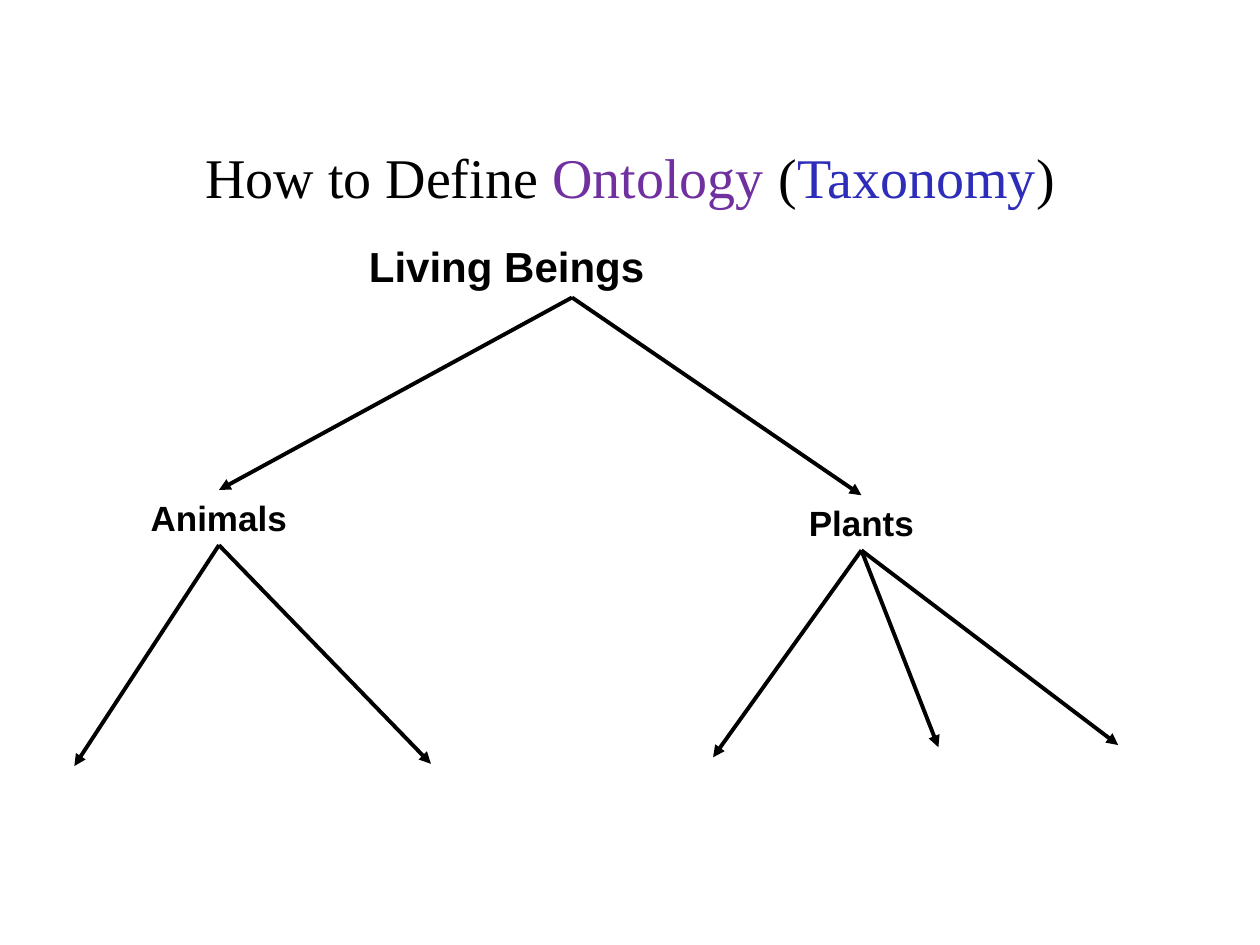
from lxml import etree
from pptx import Presentation
from pptx.dml.color import RGBColor
from pptx.enum.shapes import MSO_CONNECTOR
from pptx.enum.text import MSO_ANCHOR, MSO_AUTO_SIZE, PP_ALIGN
from pptx.oxml.ns import qn
from pptx.util import Pt

STRAIGHT = MSO_CONNECTOR.STRAIGHT
MIDDLE = MSO_ANCHOR.MIDDLE
GROW = MSO_AUTO_SIZE.SHAPE_TO_FIT_TEXT
LEFT, CENTER = PP_ALIGN.LEFT, PP_ALIGN.CENTER
TOP_SITE, BOTTOM_SITE = 0, 2

THEME = {
    "title_font": "Times New Roman", "node_font": "Arial",
    "title_size": 32, "root_size": 24, "branch_size": 20, "line_width": 2.25,
    "text": RGBColor(0, 0, 0), "line": RGBColor(0, 0, 0),
    "ontology": RGBColor(0x70, 0x30, 0xA0), "taxonomy": RGBColor(0x2D, 0x2D, 0xB9),
}

TITLE_BOX = (54, 55.5, 612, 90)
TITLE_RUNS = [("How to Define ", "text"), ("Ontology", "ontology"), (" (", "text"),
              ("Taxonomy", "taxonomy"), (")", "text")]

# Name: box (left, top, width, height), size, alignment, wrap
NODES = {
    "Living Beings": ((203.75, 134, 246.25, 36), "root_size", LEFT, True),
    "Animals": ((79, 280, 92.25, 31.5), "branch_size", LEFT, False),
    "Plants": ((381.25, 283, 222, 31.5), "branch_size", CENTER, True),
}
BRANCHES = [("Living Beings", "Animals"), ("Living Beings", "Plants")]
# Arrow tips of the levels that are not named yet
OPEN_TIPS = {
    "Animals": [(42.5, 437.75), (246.25, 436.5)],
    "Plants": [(407.5, 432.75), (536.25, 427), (639, 425.75)],
}


def format_run(run, font_name, size, colour, bold=False):
    run.font.name = THEME[font_name]
    run.font.size = Pt(THEME[size])
    run.font.color.rgb = THEME[colour]
    run.font.bold = bold


def add_title(slide):
    frame = slide.shapes.add_textbox(*map(Pt, TITLE_BOX)).text_frame
    frame.word_wrap = True
    frame.vertical_anchor = MIDDLE
    paragraph = frame.paragraphs[0]
    paragraph.alignment = CENTER
    for text, colour in TITLE_RUNS:
        run = paragraph.add_run()
        run.text = text
        format_run(run, "title_font", "title_size", colour)


def add_node(slide, name, box, size, alignment, wrap):
    shape = slide.shapes.add_textbox(*map(Pt, box))
    frame = shape.text_frame
    frame.text = name
    frame.word_wrap = wrap
    frame.auto_size = GROW
    paragraph = frame.paragraphs[0]
    paragraph.alignment = alignment
    format_run(paragraph.runs[0], "node_font", size, "text", bold=True)
    return shape


def add_arrow(slide, parent, tip=(0, 0), child=None):
    """Draw an arrow from below parent to the top of child, or to a free tip."""
    arrow = slide.shapes.add_connector(STRAIGHT, 0, 0, *map(Pt, tip))
    arrow.begin_connect(parent, BOTTOM_SITE)
    if child is not None:
        arrow.end_connect(child, TOP_SITE)
    arrow.line.color.rgb = THEME["line"]
    arrow.line.width = Pt(THEME["line_width"])
    etree.SubElement(arrow.line._get_or_add_ln(), qn("a:tailEnd"), type="triangle")
    etree.SubElement(arrow._element.spPr, qn("a:effectLst"))


def main():
    presentation = Presentation()
    presentation.slide_width, presentation.slide_height = Pt(720), Pt(540)
    slide = presentation.slides.add_slide(presentation.slide_layouts[6])
    add_title(slide)
    shapes = {name: add_node(slide, name, *node) for name, node in NODES.items()}
    for parent, child in BRANCHES:
        add_arrow(slide, shapes[parent], child=shapes[child])
    for parent, tips in OPEN_TIPS.items():
        for tip in tips:
            add_arrow(slide, shapes[parent], tip)
    presentation.save("out.pptx")


if __name__ == "__main__":
    main()
